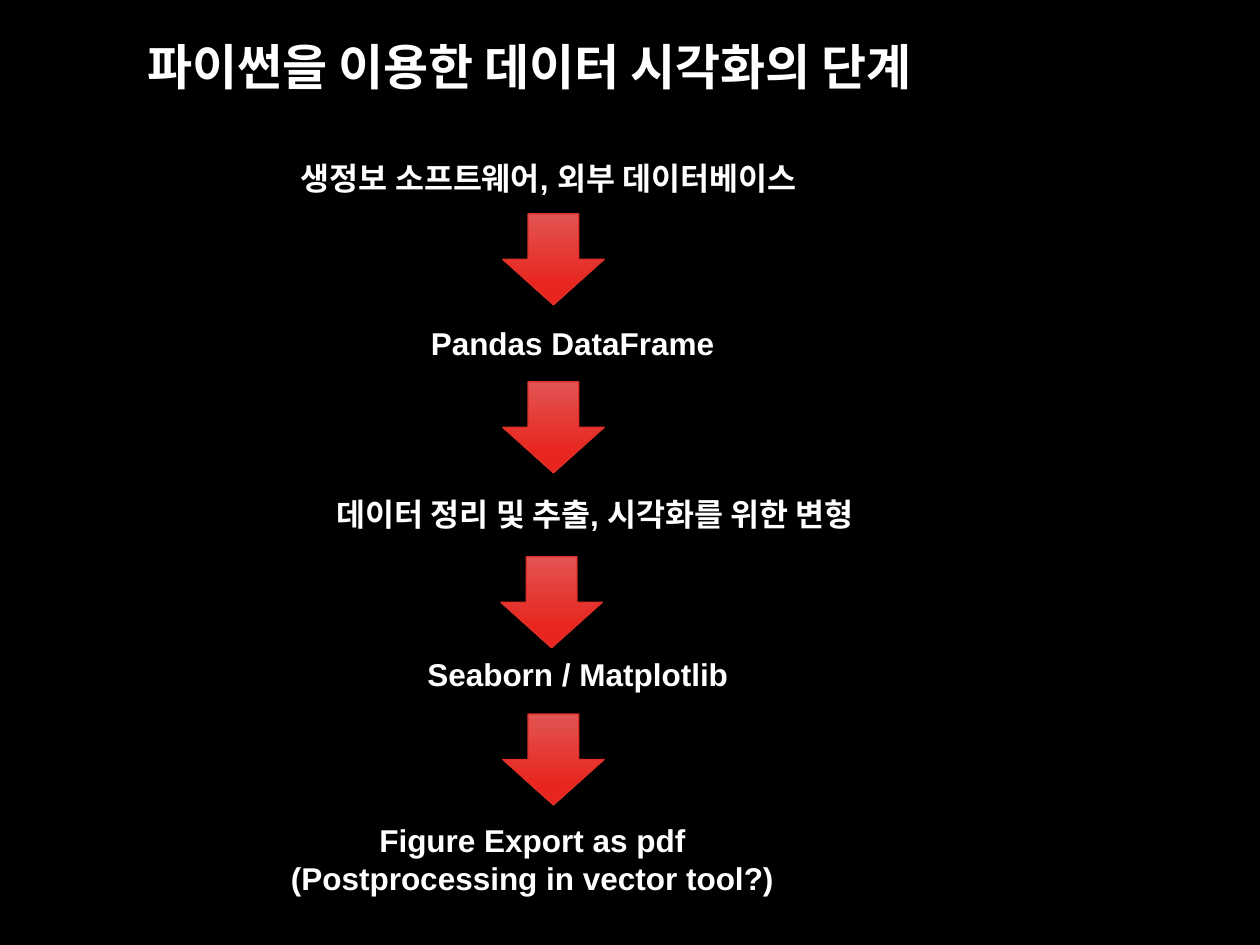
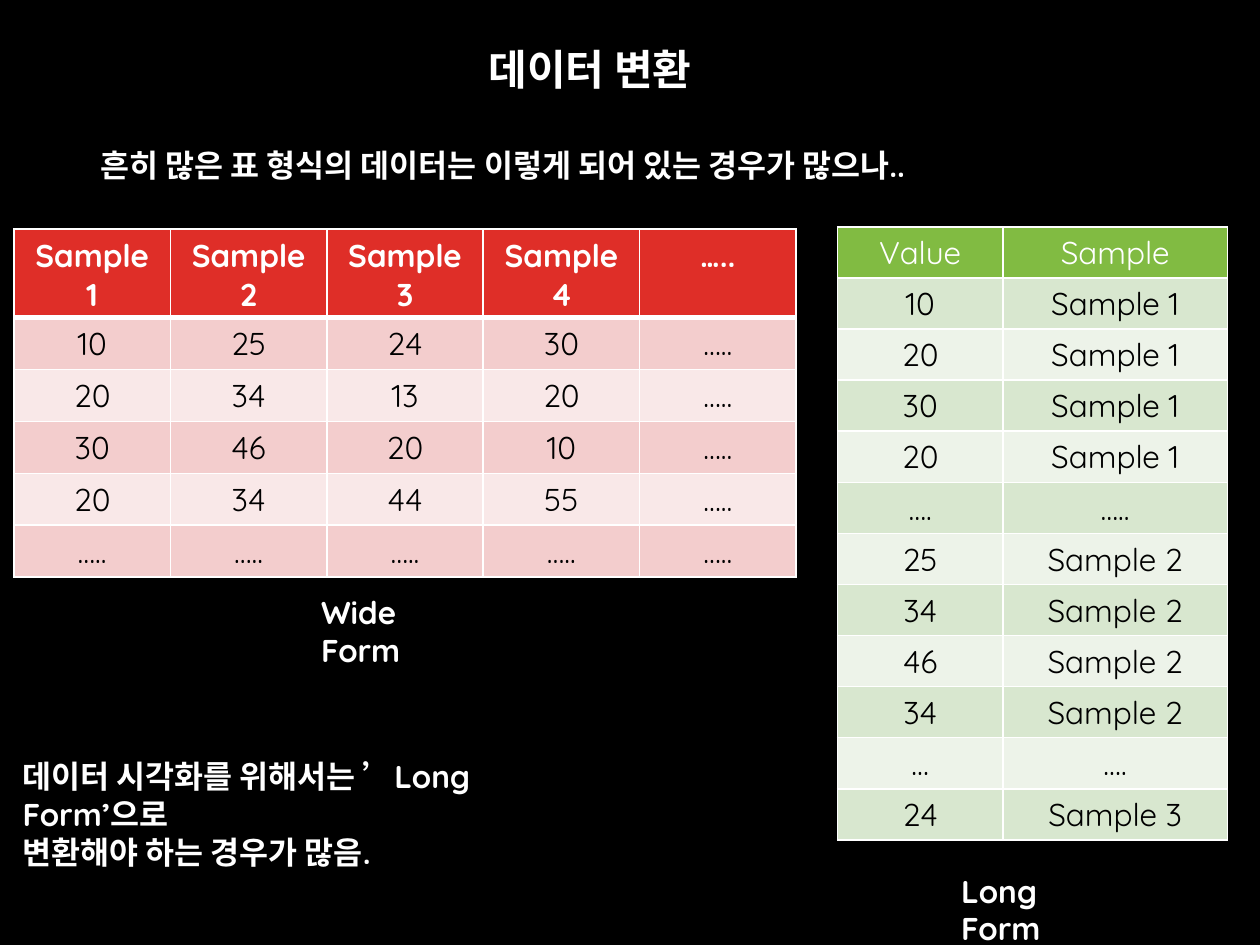
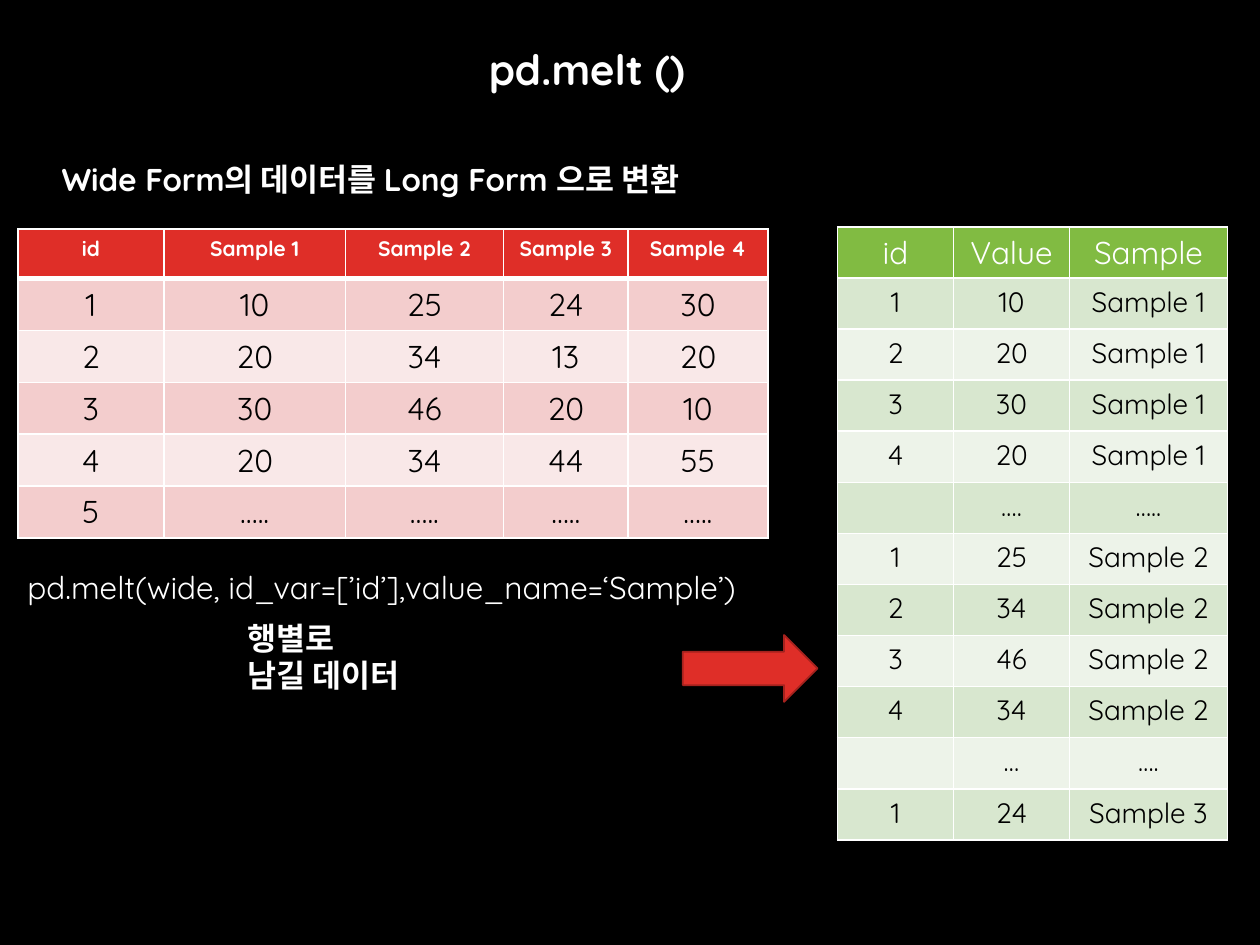
from dataclasses import dataclass
from typing import Optional

from lxml import etree
from pptx import Presentation
from pptx import util as u
from pptx.dml import color
from pptx.enum import shapes, text
from pptx.oxml import ns

Pt = u.Pt

COLORS = {
    "background": "000000",
    "light": "FFFFFF",
    "dark": "000000",
    "red": "DF2E28",
    "red_edge": "A5221E",
    "red_glow": "E25452",
    "red_deep": "E8251F",
    "red_band": "F3CDCD",
    "red_pale": "F9E8E8",
    "green": "81BB42",
    "green_band": "D8E7CF",
    "green_pale": "EDF3E9",
}
LATIN, ROUNDED = "Arial", "Quicksand"
LINE_HEIGHT = 28.8


@dataclass(frozen=True)
class Label:
    left: float
    top: float
    width: float
    lines: tuple[str, ...]
    size: float = 18
    font: str = ROUNDED
    bold: bool = True
    centered: bool = False


@dataclass(frozen=True)
class TableStyle:
    header: str
    band: str
    pale: str
    header_bold: bool
    header_rule: float
    header_height: float
    row_height: float


RED_TABLE = TableStyle("red", "red_band", "red_pale", True, 3, 28.1, 29.7)
GREEN_TABLE = TableStyle("green", "green_band", "green_pale", False, 1, 29.22, 29.22)


@dataclass(frozen=True)
class Grid:
    left: float
    top: float
    widths: tuple[float, ...]
    rows: list[list[str]]
    style: TableStyle
    header_size: float = 18
    body_size: float = 18


def rgb(name: str) -> color.RGBColor:
    return color.RGBColor.from_string(COLORS[name])


def style_paragraph(paragraph, size: float, font: str, ink: str, bold: bool, centered: bool) -> None:
    paragraph.alignment = text.PP_ALIGN.CENTER if centered else text.PP_ALIGN.LEFT
    paragraph.font.size = Pt(size)
    paragraph.font.name = font
    paragraph.font.bold = bold
    paragraph.font.color.rgb = rgb(ink)


def new_slide(deck):
    slide = deck.slides.add_slide(deck.slide_layouts[6])
    slide.background.fill.solid()
    slide.background.fill.fore_color.rgb = rgb("background")
    return slide


def draw_label(slide, label: Label) -> None:
    height = LINE_HEIGHT + 22.3 * (len(label.lines) - 1)
    box = slide.shapes.add_textbox(Pt(label.left), Pt(label.top), Pt(label.width), Pt(height))
    frame = box.text_frame
    frame.word_wrap = True
    frame.auto_size = text.MSO_AUTO_SIZE.SHAPE_TO_FIT_TEXT
    frame.text = "\n".join(label.lines)
    for paragraph in frame.paragraphs:
        style_paragraph(paragraph, label.size, label.font, "light", label.bold, label.centered)


def draw_arrow(slide, kind, left: float, top: float, width: float, height: float,
               edge: str, edge_width: float, glow: Optional[str] = None) -> None:
    arrow = slide.shapes.add_shape(kind, Pt(left), Pt(top), Pt(width), Pt(height))
    arrow.shadow.inherit = False
    arrow.line.color.rgb = rgb(edge)
    arrow.line.width = Pt(edge_width)
    if glow is None:
        arrow.fill.solid()
        arrow.fill.fore_color.rgb = rgb("red")
        return
    arrow.fill.gradient()
    arrow.fill.gradient_angle = 270
    for stop, position, name in zip(arrow.fill.gradient_stops, (0, 0.78), (glow, "red_deep")):
        stop.position = position
        stop.color.rgb = rgb(name)


def draw_borders(cell, top: float, bottom: float) -> None:
    properties = cell._tc.get_or_add_tcPr()
    for side, width in (("L", 1), ("R", 1), ("T", top), ("B", bottom)):
        line = etree.SubElement(properties, ns.qn(f"a:ln{side}"), w=str(Pt(width)))
        fill = etree.SubElement(line, ns.qn("a:solidFill"))
        etree.SubElement(fill, ns.qn("a:srgbClr"), val=COLORS["light"])


def draw_grid(slide, grid: Grid) -> None:
    style = grid.style
    heights = [style.header_height] + [style.row_height] * (len(grid.rows) - 1)
    table = slide.shapes.add_table(len(grid.rows), len(grid.widths), Pt(grid.left), Pt(grid.top),
                                   Pt(sum(grid.widths)), Pt(sum(heights))).table
    table.horz_banding = False
    for column, width in zip(table.columns, grid.widths):
        column.width = Pt(width)
    for r, (values, height) in enumerate(zip(grid.rows, heights)):
        table.rows[r].height = Pt(height)
        is_header = r == 0
        background = style.header if is_header else style.band if r % 2 else style.pale
        for c, value in enumerate(values):
            cell = table.cell(r, c)
            draw_borders(cell, style.header_rule if r == 1 else 1,
                         style.header_rule if is_header else 1)
            cell.fill.solid()
            cell.fill.fore_color.rgb = rgb(background)
            cell.text = value
            style_paragraph(cell.text_frame.paragraphs[0],
                            grid.header_size if is_header else grid.body_size, ROUNDED,
                            "light" if is_header else "dark",
                            is_header and style.header_bold, True)


# Sample data in both forms
MORE = "….."
SAMPLES = [f"Sample {n}" for n in range(1, 5)]
READINGS = [
    ["10", "25", "24", "30"],
    ["20", "34", "13", "20"],
    ["30", "46", "20", "10"],
    ["20", "34", "44", "55"],
]
IDS = ["1", "2", "3", "4"]


def melted(sample: int) -> list[list[str]]:
    return [[i, row[sample], SAMPLES[sample]] for i, row in zip(IDS, READINGS)]


WIDE = [SAMPLES + [MORE], *(row + [MORE] for row in READINGS), [MORE] * 5]
WIDE_WITH_ID = [["id"] + SAMPLES, *([i] + row for i, row in zip(IDS, READINGS)),
                ["5"] + [MORE] * 4]
LONG_WITH_ID = [["id", "Value", "Sample"], *melted(0), ["", "….", MORE],
                *melted(1), ["", "…", "…."], melted(2)[0]]
LONG = [row[1:] for row in LONG_WITH_ID]


def build_steps(deck) -> None:
    slide = new_slide(deck)
    draw_label(slide, Label(77, 17.3, 506, ("파이썬을 이용한 데이터 시각화의 단계",), 28, LATIN))
    steps = [
        (148.3, 87.1, 330.5, ("생정보 소프트웨어, 외부 데이터베이스",)),
        (238.3, 181.4, 177.8, ("Pandas DataFrame",)),
        (164.9, 279.4, 350.6, ("데이터 정리 및 추출, 시각화를 위한 변형",)),
        (236.2, 370.8, 187.9, ("Seaborn / Matplotlib",)),
        (157, 465.8, 294.5, ("Figure Export as pdf", "(Postprocessing in vector tool?)")),
    ]
    for step in steps:
        draw_label(slide, Label(*step, font=LATIN, centered=True))
    for left, top in ((287.3, 122.2), (287.3, 218.2), (286.2, 318.2), (287.3, 408)):
        draw_arrow(slide, shapes.MSO_SHAPE.DOWN_ARROW, left, top, 58, 52, "red", 0.75, "red_glow")


def build_forms(deck) -> None:
    slide = new_slide(deck)
    labels = [
        Label(272.2, 21.6, 146.9, ("데이터 변환",), 24),
        Label(50.4, 79.9, 515.5, ("흔히 많은 표 형식의 데이터는 이렇게 되어 있는 경우가 많으나..",)),
        Label(542.2, 494.6, 103, ("Long Form",)),
        Label(176.4, 335.5, 103, ("Wide Form",)),
        Label(5.8, 429.1, 351, ("데이터 시각화를 위해서는 ’Long Form’으로", "변환해야 하는 경우가 많음.")),
    ]
    for label in labels:
        draw_label(slide, label)
    draw_grid(slide, Grid(8, 131, (89.4,) * 5, WIDE, RED_TABLE))
    draw_grid(slide, Grid(478.6, 129.6, (94.5, 128.3), LONG, GREEN_TABLE))


def build_melt(deck) -> None:
    slide = new_slide(deck)
    labels = [
        Label(272.2, 21.6, 130.3, ("pd.melt ()",), 24),
        Label(28.1, 87.8, 395, ("Wide Form의 데이터를 Long Form 으로 변환",)),
        Label(8.6, 321.1, 460, ("pd.melt(wide, id_var=[’id’],value_name=‘Sample’)",), bold=False),
        Label(134.6, 349.9, 110.2, ("행별로", "남길 데이터")),
    ]
    for label in labels:
        draw_label(slide, label)
    draw_grid(slide, Grid(10.2, 131, (83.5, 103.8, 90.2, 71.3, 79.8), WIDE_WITH_ID, RED_TABLE,
                          header_size=12))
    draw_grid(slide, Grid(478.6, 129.6, (66.3, 66.3, 90.2), LONG_WITH_ID, GREEN_TABLE,
                          body_size=16))
    draw_arrow(slide, shapes.MSO_SHAPE.RIGHT_ARROW, 390.2, 362.9, 77, 38.2, "red_edge", 1)


def main() -> None:
    deck = Presentation()
    deck.slide_width, deck.slide_height = Pt(720), Pt(540)
    for build in (build_steps, build_forms, build_melt):
        build(deck)
    deck.save("out.pptx")


if __name__ == "__main__":
    main()
